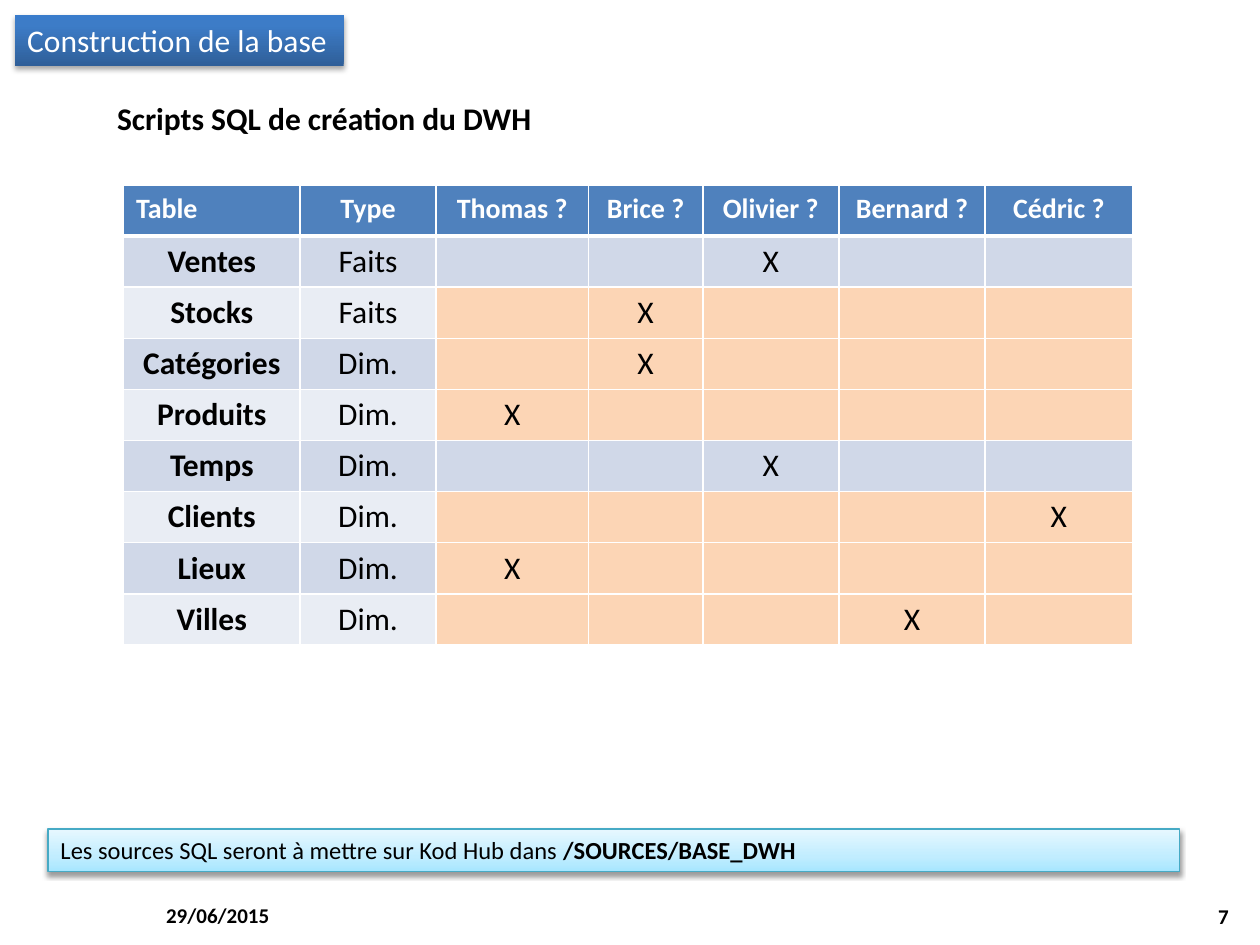
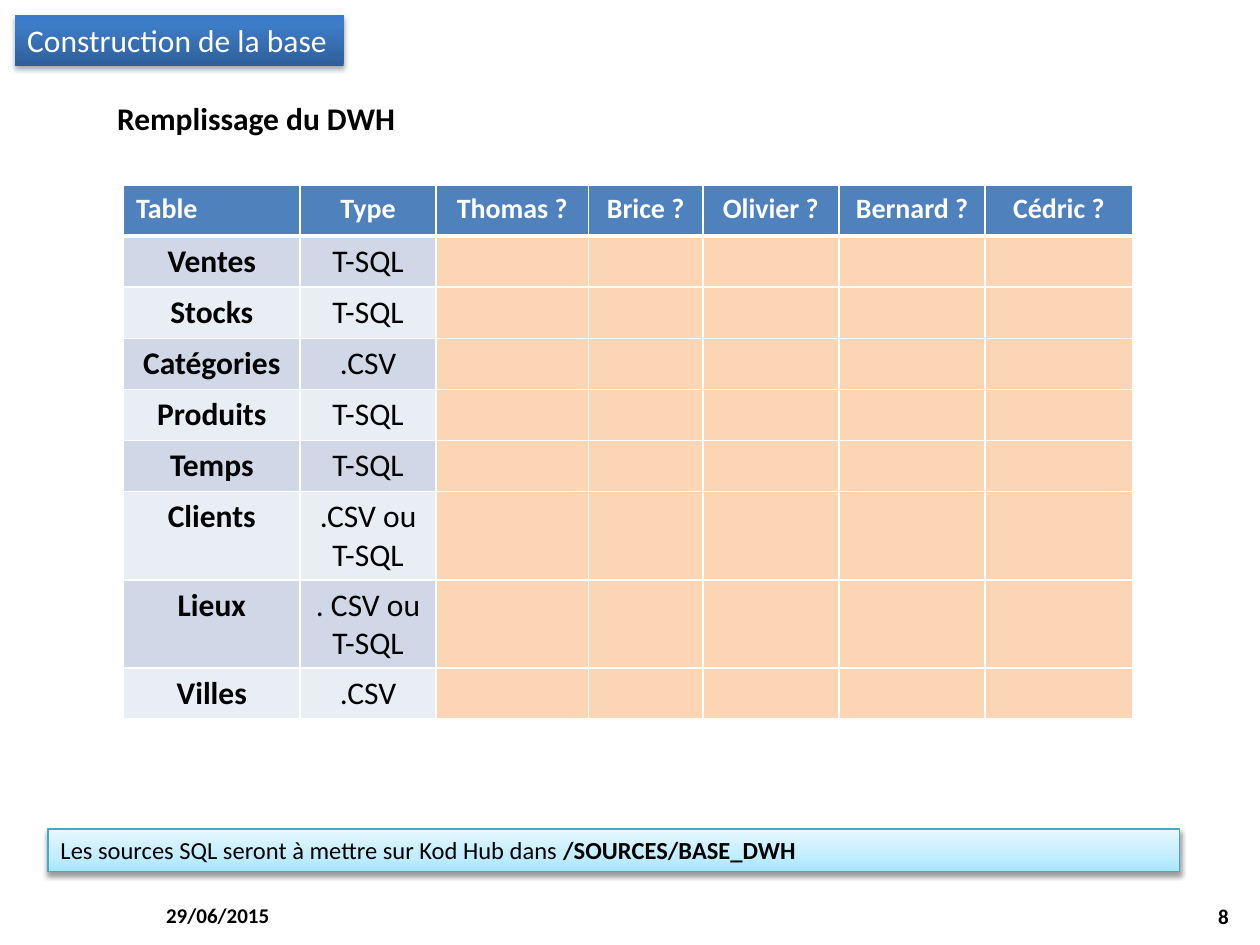
"""Build two slides that share out the scripts and the loading of a data warehouse."""
from lxml import etree
from pptx import Presentation
from pptx.dml.color import RGBColor
from pptx.enum.shapes import MSO_SHAPE
from pptx.enum.text import MSO_ANCHOR, MSO_AUTO_SIZE, PP_ALIGN
from pptx.oxml import parse_xml
from pptx.oxml.ns import qn
from pptx.util import Cm, Pt

RECTANGLE = MSO_SHAPE.RECTANGLE
TOP, MIDDLE = MSO_ANCHOR.TOP, MSO_ANCHOR.MIDDLE
LEFT, CENTER, RIGHT = PP_ALIGN.LEFT, PP_ALIGN.CENTER, PP_ALIGN.RIGHT
FIT_SHAPE = MSO_AUTO_SIZE.SHAPE_TO_FIT_TEXT
NAMESPACE = "http://schemas.openxmlformats.org/drawingml/2006/main"
FONT = "Calibri"
COLORS = {
    "text": "000000",
    "white": "FFFFFF",
    "header": "4F81BD",
    "odd_row": "D0D8E8",
    "even_row": "E9EDF4",
    "open": "FCD5B5",
    "note_line": "46AAC5",
}
BANNER_STOPS = [(0, "2F5F99"), (80, "3D7CC7"), (100, "3A7CCB")]
NOTE_STOPS = [(0, "A7E6FF"), (35, "C1EDFF"), (100, "E7F8FF")]

HEADER = ["Table", "Type", "Thomas ?", "Brice ?", "Olivier ?", "Bernard ?", "Cédric ?"]
TABLES = ["Ventes", "Stocks", "Catégories", "Produits", "Temps", "Clients", "Lieux", "Villes"]
COLUMN_WIDTHS = [3.56, 2.74, 3.07, 2.31, 2.74, 2.95, 2.97]
ROW_HEIGHT = 1.03
SLIDES = [
    {
        "number": "7",
        "heading": "Scripts SQL de création du DWH",
        "heading_width": 8.94,
        "types": ["Faits"] * 2 + ["Dim."] * 6,
        "owners": ["Olivier ?", "Brice ?", "Brice ?", "Thomas ?",
                   "Olivier ?", "Cédric ?", "Thomas ?", "Bernard ?"],
        "settled": ["Ventes", "Temps"],
    },
    {
        "number": "8",
        "heading": "Remplissage du DWH",
        "heading_width": 6.32,
        "types": ["T-SQL", "T-SQL", ".CSV", "T-SQL", "T-SQL",
                  ".CSV ou T-SQL", ". CSV ou T-SQL", ".CSV"],
        "owners": [None] * 8,
        "settled": [],
    },
]


def write(frame, runs, size, color="text", align=LEFT):
    paragraph = frame.paragraphs[0]
    paragraph.alignment = align
    for text, bold in runs:
        run = paragraph.add_run()
        run.text = text
        run.font.name = FONT
        run.font.size = Pt(size)
        run.font.bold = bold
        run.font.color.rgb = RGBColor.from_string(COLORS[color])
    return paragraph


def add_glossy_box(slide, box, stops, shadow_alpha, shadow_distance):
    shape = slide.shapes.add_shape(RECTANGLE, *[Cm(length) for length in box])
    shape.line.fill.background()
    shape.shadow.inherit = False
    properties = shape._element.spPr
    stop_xml = "".join(
        f'<a:gs pos="{position * 1000}"><a:srgbClr val="{color}"/></a:gs>'
        for position, color in stops
    )
    gradient = parse_xml(
        f'<a:gradFill xmlns:a="{NAMESPACE}" rotWithShape="1"><a:gsLst>{stop_xml}</a:gsLst>'
        '<a:lin ang="16200000" scaled="0"/></a:gradFill>'
    )
    properties.find(qn("a:prstGeom")).addnext(gradient)
    shadow = parse_xml(
        f'<a:outerShdw xmlns:a="{NAMESPACE}" blurRad="40000" dist="{shadow_distance}" '
        'dir="5400000" rotWithShape="0"><a:srgbClr val="000000">'
        f'<a:alpha val="{shadow_alpha * 1000}"/></a:srgbClr></a:outerShdw>'
    )
    properties.find(qn("a:effectLst")).append(shadow)
    shape.text_frame.vertical_anchor = TOP
    shape.text_frame.auto_size = FIT_SHAPE
    return shape


presentation = Presentation()
presentation.slide_width = Cm(25.4)
presentation.slide_height = Cm(19.05)

for content in SLIDES:
    slide = presentation.slides.add_slide(presentation.slide_layouts[6])

    for text, left, top, align in [
        ("29/06/2015", 3.1, 17.93, LEFT),
        (content["number"], 19.1, 17.96, RIGHT),
    ]:
        footer = slide.shapes.add_textbox(Cm(left), Cm(top), Cm(5.92), Cm(1.02))
        footer.text_frame.word_wrap = True
        footer.text_frame.vertical_anchor = MIDDLE
        write(footer.text_frame, [(text, True)], 12, align=align)

    banner = add_glossy_box(slide, (0.3, 0.3, 6.63, 1.03), BANNER_STOPS, 35, 23000)
    banner.text_frame.word_wrap = False
    write(banner.text_frame, [("Construction de la base", False)], 18, "white")

    heading = slide.shapes.add_textbox(
        Cm(2.11), Cm(1.88), Cm(content["heading_width"]), Cm(1.03)
    )
    heading.text_frame.word_wrap = False
    heading.text_frame.auto_size = FIT_SHAPE
    paragraph = write(heading.text_frame, [(content["heading"], True)], 18)
    paragraph.space_before = paragraph.space_after = Pt(6)

    rows = [HEADER]
    for name, kind, owner in zip(TABLES, content["types"], content["owners"]):
        rows.append([name, kind] + ["X" if person == owner else "" for person in HEADER[2:]])

    table = slide.shapes.add_table(
        len(rows), len(HEADER), Cm(2.49), Cm(3.73),
        Cm(sum(COLUMN_WIDTHS)), Cm(ROW_HEIGHT * len(rows)),
    ).table
    for column, width in zip(table.columns, COLUMN_WIDTHS):
        column.width = Cm(width)

    for row_index, row in enumerate(rows):
        table.rows[row_index].height = Cm(ROW_HEIGHT)
        is_header = row_index == 0
        for column_index, text in enumerate(row):
            cell = table.cell(row_index, column_index)
            if is_header:
                fill = "header"
            elif column_index > 1 and row[0] not in content["settled"]:
                fill = "open"
            else:
                fill = "odd_row" if row_index % 2 else "even_row"
            cell.fill.solid()
            cell.fill.fore_color.rgb = RGBColor.from_string(COLORS[fill])

            cell_properties = cell._tc.get_or_add_tcPr()
            for position, side in enumerate("LRTB"):
                thick = (row_index, side) in [(0, "B"), (1, "T")]
                border = etree.Element(qn(f"a:ln{side}"), w=str(Pt(3 if thick else 1)))
                solid = etree.SubElement(border, qn("a:solidFill"))
                etree.SubElement(solid, qn("a:srgbClr"), val=COLORS["white"])
                cell_properties.insert(position, border)

            if text:
                write(
                    cell.text_frame,
                    [(text, is_header or column_index == 0)],
                    16 if is_header else 18,
                    "white" if is_header else "text",
                    LEFT if is_header and column_index == 0 else CENTER,
                )

    note = add_glossy_box(slide, (0.97, 16.71, 22.81, 0.86), NOTE_STOPS, 38, 20000)
    note.line.color.rgb = RGBColor.from_string(COLORS["note_line"])
    note.line.width = Pt(0.75)
    note.text_frame.word_wrap = True
    write(
        note.text_frame,
        [("Les sources SQL seront à mettre sur Kod Hub dans ", False), ("/SOURCES/BASE_DWH", True)],
        14,
    )

presentation.save("out.pptx")
